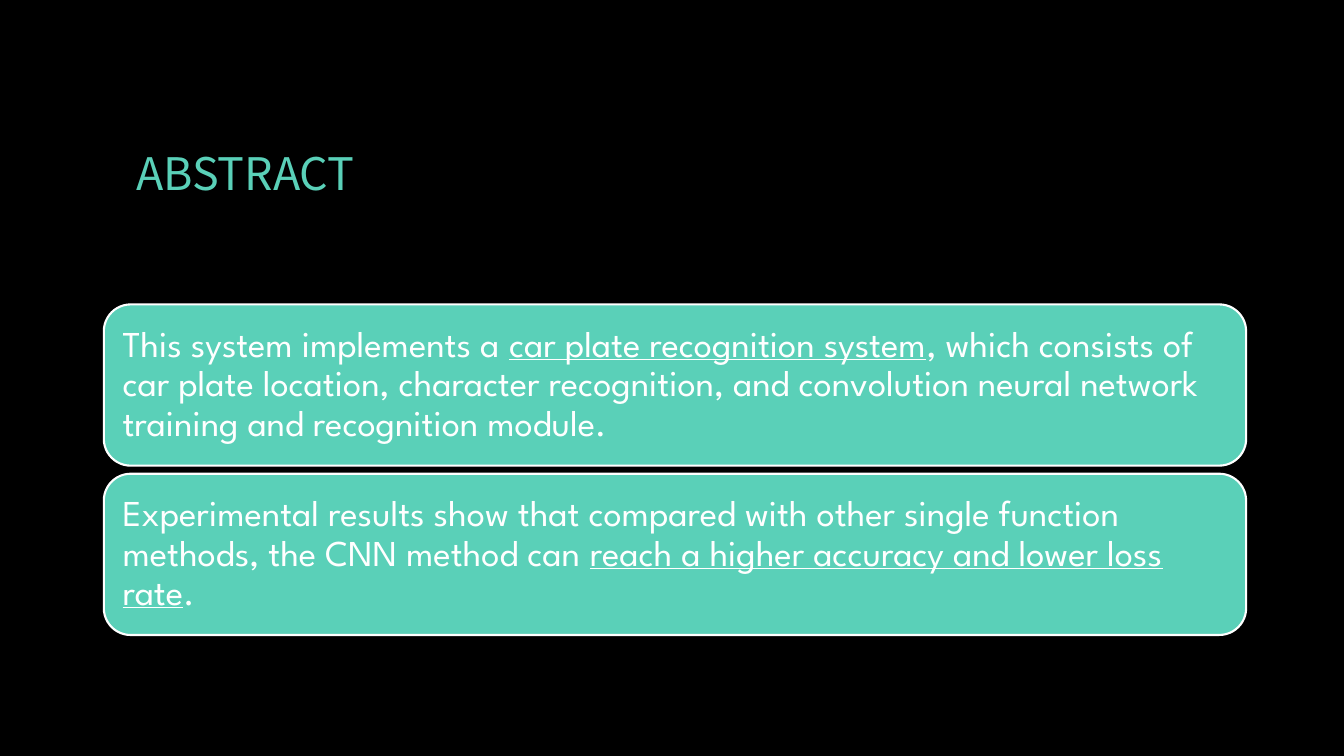
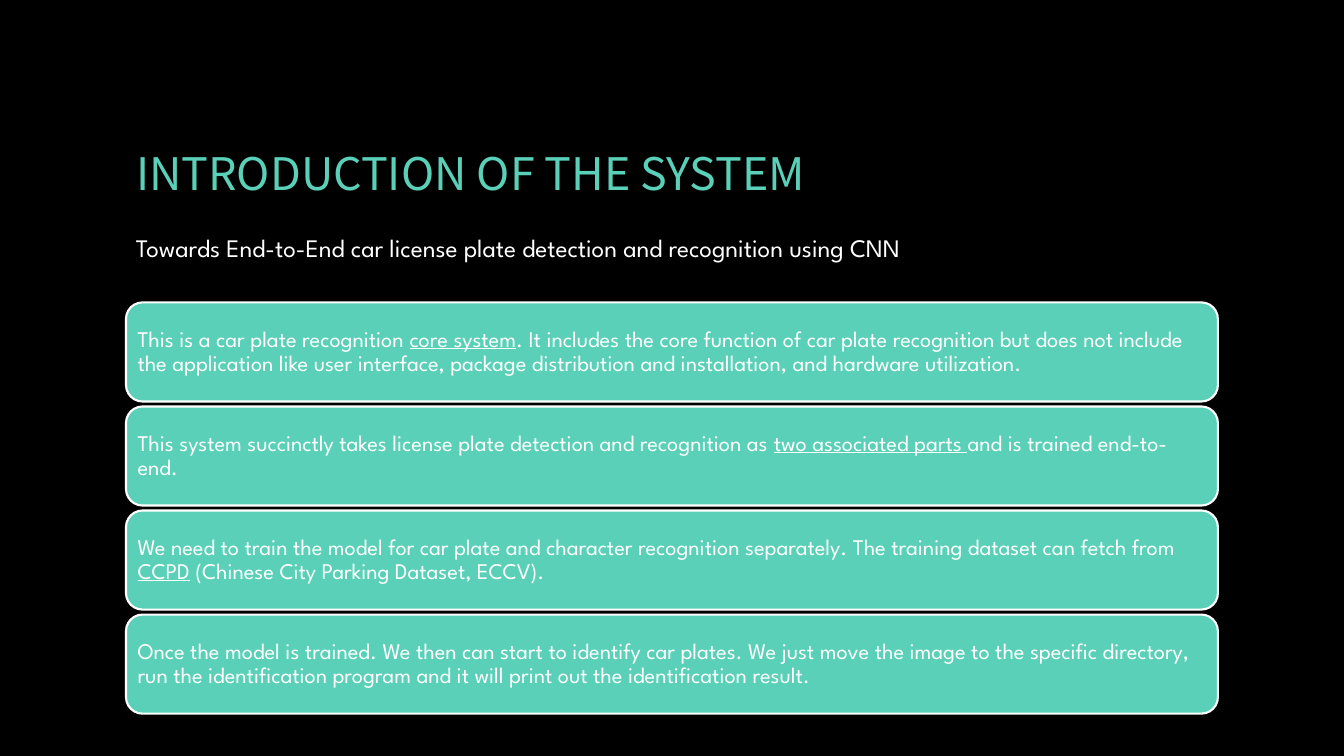
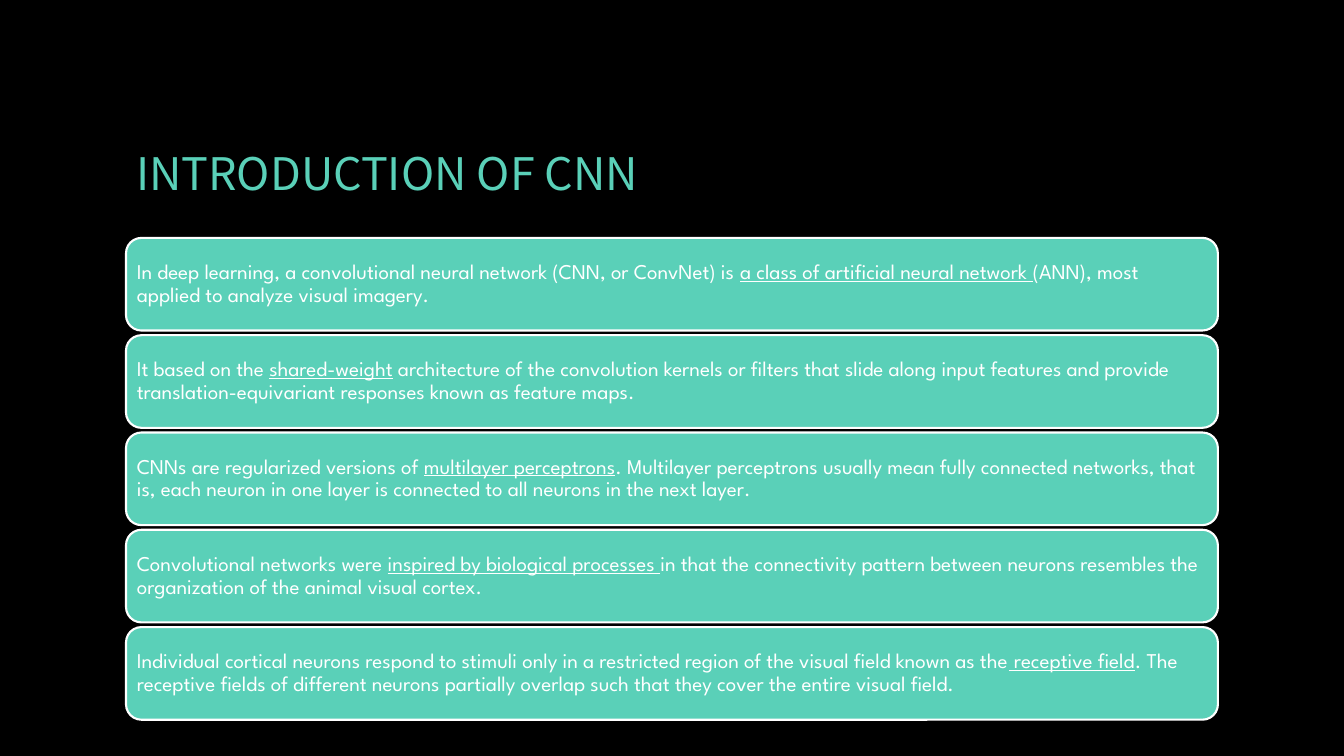
from pptx import Presentation
from pptx import util as u
from pptx.dml.color import RGBColor
from pptx.enum import shapes, text

TEAL, WHITE, BLACK = "5AD0B8", "FFFFFF", "000000"
TITLE_FONT, BODY_FONT = "Noto Sans CJK SC", "League Spartan"
TITLE_BOX = (1.25, 0.67, 10.83, 2.08)
GAP_SHARE = 0.05   # gap between cards, as a share of card height
INSET_EM = 0.3     # card margin, as a share of the text size


def color(hex_string):
    return RGBColor.from_string(hex_string)


def inches(box):
    return [u.Inches(v) for v in box]


def style(p, name, size, hex_string):
    p.alignment = text.PP_ALIGN.LEFT
    p.font.name = name
    p.font.size = u.Pt(size)
    p.font.color.rgb = color(hex_string)


def add_titled_slide(prs, title):
    s = prs.slides.add_slide(prs.slide_layouts[5])
    sp = s.shapes.title
    sp.left, sp.top, sp.width, sp.height = inches(TITLE_BOX)
    tf = sp.text_frame
    tf.text = title
    tf.word_wrap = True
    tf.auto_size = text.MSO_AUTO_SIZE.NONE
    tf.vertical_anchor = text.MSO_ANCHOR.MIDDLE
    style(tf.paragraphs[0], TITLE_FONT, 32, TEAL)
    return s


def add_subtitle(s, box, line):
    tf = s.shapes.add_textbox(*inches(box)).text_frame
    tf.word_wrap = False
    tf.auto_size = text.MSO_AUTO_SIZE.SHAPE_TO_FIT_TEXT
    tf.text = line
    style(tf.paragraphs[0], BODY_FONT, 18, WHITE)


def add_card(s, box, size, marked):
    """One rounded card; words between asterisks are underlined."""
    sp = s.shapes.add_shape(shapes.MSO_SHAPE.ROUNDED_RECTANGLE, *inches(box))
    sp.shadow.inherit = False
    sp.fill.solid()
    sp.fill.fore_color.rgb = color(TEAL)
    sp.line.color.rgb = color(WHITE)
    sp.line.width = u.Pt(1.5)
    tf = sp.text_frame
    tf.word_wrap = True
    tf.vertical_anchor = text.MSO_ANCHOR.MIDDLE
    inset = u.Pt(size * INSET_EM)
    tf.margin_left = tf.margin_right = tf.margin_top = tf.margin_bottom = inset
    p = tf.paragraphs[0]
    p.line_spacing = 0.9
    style(p, BODY_FONT, size, WHITE)
    for i, part in enumerate(marked.split("*")):
        r = p.add_run()
        r.text = part
        if i % 2:
            r.font.underline = True


def add_card_stack(s, box, size, cards):
    """Equal cards filling the box from top to bottom."""
    left, top, width, height = box
    n = len(cards)
    card_height = height / (n + GAP_SHARE * (n - 1))
    pitch = card_height * (1 + GAP_SHARE)
    for i, marked in enumerate(cards):
        add_card(s, (left, top + i * pitch, width, card_height), size, marked)


ABSTRACT = [
    "This system implements a *car plate recognition system*, which consists of car plate "
    "location, character recognition, and convolution neural network training and "
    "recognition module.",
    "Experimental results show that compared with other single function methods, the CNN "
    "method can *reach a higher accuracy and lower loss rate*.",
]
SYSTEM = [
    "This is a car plate recognition *core system*. It includes the core function of car "
    "plate recognition but does not include the application like user interface, package "
    "distribution and installation, and hardware utilization.",
    "This system succinctly takes license plate detection and recognition as *two "
    "associated parts *and is trained end-to-end.",
    "We need to train the model for car plate and character recognition separately. The "
    "training dataset can fetch from *CCPD* (Chinese City Parking Dataset, ECCV).",
    "Once the model is trained. We then can start to identify car plates. We just move the "
    "image to the specific directory, run the identification program and it will print out "
    "the identification result.",
]
CNN = [
    "In deep learning, a convolutional neural network (CNN, or ConvNet) is *a class of "
    "artificial neural network *(ANN), most applied to analyze visual imagery.",
    "It based on the *shared-weight* architecture of the convolution kernels or filters "
    "that slide along input features and provide translation-equivariant responses known "
    "as feature maps.",
    "CNNs are regularized versions of *multilayer perceptrons*. Multilayer perceptrons "
    "usually mean fully connected networks, that is, each neuron in one layer is connected "
    "to all neurons in the next layer.",
    "Convolutional networks were *inspired by biological processes *in that the "
    "connectivity pattern between neurons resembles the organization of the animal visual "
    "cortex.",
    "Individual cortical neurons respond to stimuli only in a restricted region of the "
    "visual field known as the* receptive field*. The receptive fields of different "
    "neurons partially overlap such that they cover the entire visual field.",
]


def main():
    prs = Presentation()
    prs.slide_width, prs.slide_height = inches((13.33, 7.5))
    # Shared black background
    fill = prs.slide_master.background.fill
    fill.solid()
    fill.fore_color.rgb = color(BLACK)

    s = add_titled_slide(prs, "ABSTRACT")
    add_card_stack(s, (1.03, 3.02, 11.33, 3.28), 26, ABSTRACT)

    s = add_titled_slide(prs, "INTRODUCTION OF THE SYSTEM")
    add_card_stack(s, (1.25, 3, 10.83, 4.08), 16, SYSTEM)
    add_subtitle(s, (1.25, 2.26, 9.4, 0.4),
                 "Towards End-to-End car license plate detection and recognition using CNN")

    s = add_titled_slide(prs, "INTRODUCTION OF CNN")
    add_card_stack(s, (1.25, 2.36, 10.83, 4.78), 15, CNN)

    prs.save("out.pptx")


if __name__ == "__main__":
    main()
